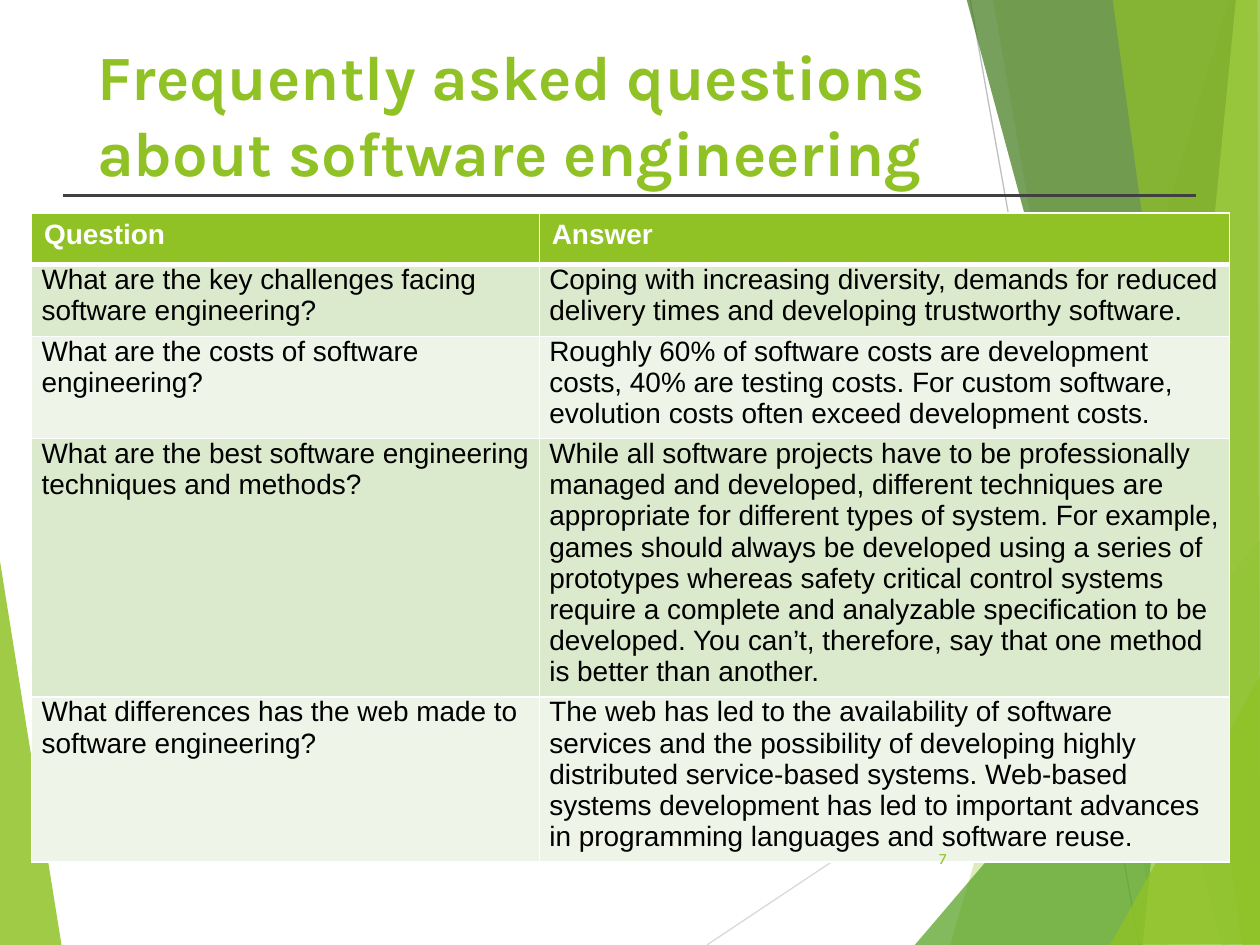
from lxml.etree import SubElement
from pptx import Presentation
from pptx.dml.color import RGBColor
from pptx.enum.shapes import MSO_CONNECTOR
from pptx.enum.text import MSO_ANCHOR, PP_ALIGN
from pptx.oxml import parse_xml
from pptx.oxml.ns import nsdecls, qn
from pptx.util import Inches, Pt

GREEN, WHITE, BLACK = "90C226", "FFFFFF", "000000"
BAND_FILLS = ["DBE9CD", "EEF4E8"]

TITLE = "Frequently asked questions about software engineering"
PAGE_NUMBER = "7"
HEADER = ("Question", "Answer")
FAQS = [
    ("What are the key challenges facing software engineering?",
     "Coping with increasing diversity, demands for reduced delivery times and "
     "developing trustworthy software."),
    ("What are the costs of software engineering?",
     "Roughly 60% of software costs are development costs, 40% are testing costs. "
     "For custom software, evolution costs often exceed development costs."),
    ("What are the best software engineering techniques and methods?",
     "While all software projects have to be professionally managed and developed, "
     "different techniques are appropriate for different types of system. For example, "
     "games should always be developed using a series of prototypes whereas safety "
     "critical control systems require a complete and analyzable specification to be "
     "developed. You can’t, therefore, say that one method is better than another."),
    ("What differences has the web made to software engineering?",
     "The web has led to the availability of software services and the possibility of "
     "developing highly distributed service-based systems. Web-based systems development "
     "has led to important advances in programming languages and software reuse."),
]
COLUMN_WIDTHS = [4.03, 5.48]
ROW_HEIGHTS = [0.41, 0.57, 0.81, 2.05, 1.31]

LEFT_FACET = ([(-0.01, 4.39), (0.49, 7.51), (-0.01, 7.5)], GREEN, 85)
RIGHT_FACETS = [
    ([(9.75, 0), (7.54, 7.5), (10.02, 7.51), (10.01, 0.01)], GREEN, 30),
    ([(7.88, -0.01), (9.19, 7.5), (10.01, 7.5), (10.01, -0.01)], GREEN, 20),
    ([(7.26, 7.5), (10, 4.29), (10.01, 7.5)], "54A021", 72),
    ([(7.67, -0.01), (9.7, 7.5), (10.01, 7.49), (10.01, -0.01)], "3F7819", 70),
    ([(9.81, -0.01), (9.07, 7.5), (10.01, 7.5), (10, -0.01)], "C0E474", 70),
    ([(8.83, -0.01), (9.86, 7.5), (10, 7.5), (9.98, -0.01)], GREEN, 65),
    ([(8.81, 7.5), (10.01, 5.35), (10.01, 7.49)], GREEN, 80),
]
FACET_LINES = [
    ((5.61, 7.5), (10.01, 4.57), "D9D9D9", 0.75),
    ((7.7, 0), (9.04, 7.5), "BFBFBF", 0.75),
]
TITLE_RULE = ((0.5, 1.55), (9.49, 1.55), "404040", 1.5)


def paint(color_format, color):
    color_format.rgb = RGBColor.from_string(color)


def add_facet(slide, points, color, opacity):
    corners = [(Inches(x), Inches(y)) for x, y in points]
    builder = slide.shapes.build_freeform(*corners[0])
    builder.add_line_segments(corners[1:], close=True)
    facet = builder.convert_to_shape()
    facet.shadow.inherit = False
    facet.fill.solid()
    paint(facet.fill.fore_color, color)
    facet.line.fill.background()
    srgb = facet.fill._xPr.find(qn("a:solidFill")).find(qn("a:srgbClr"))
    SubElement(srgb, qn("a:alpha"), val=str(opacity * 1000))


def add_line(slide, start, end, color, width):
    line = slide.shapes.add_connector(
        MSO_CONNECTOR.STRAIGHT, *map(Inches, start + end))
    paint(line.line.color, color)
    line.line.width = Pt(width)
    SubElement(line._element.spPr, qn("a:effectLst"))


def write(frame, text, font, size, color, bold=False):
    run = frame.paragraphs[0].add_run()
    run.text = text
    run.font.name = font
    run.font.size = Pt(size)
    run.font.bold = bold
    paint(run.font.color, color)


def set_borders(cell, bottom_width):
    widths = {"lnL": 1, "lnR": 1, "lnT": 1, "lnB": bottom_width}
    for index, (side, width) in enumerate(widths.items()):
        border = parse_xml(
            f'<a:{side} {nsdecls("a")} w="{Pt(width)}"><a:solidFill>'
            f'<a:srgbClr val="{WHITE}"/></a:solidFill></a:{side}>')
        cell._tc.get_or_add_tcPr().insert(index, border)


def add_faq_table(slide):
    rows = [HEADER] + FAQS
    table = slide.shapes.add_table(
        len(rows), len(HEADER), Inches(0.25), Inches(1.69),
        Inches(sum(COLUMN_WIDTHS)), Inches(sum(ROW_HEIGHTS))).table
    table.horz_banding = False
    for column, width in zip(table.columns, COLUMN_WIDTHS):
        column.width = Inches(width)
    for row, height in zip(table.rows, ROW_HEIGHTS):
        row.height = Inches(height)
    for r, texts in enumerate(rows):
        is_header = r == 0
        for c, text in enumerate(texts):
            cell = table.cell(r, c)
            cell.fill.solid()
            paint(cell.fill.fore_color, GREEN if is_header else BAND_FILLS[(r - 1) % 2])
            set_borders(cell, 3 if is_header else 1)
            if not is_header:
                cell.margin_left = cell.margin_right = Inches(0.08)
                cell.margin_top, cell.margin_bottom = 0, Inches(0.07)
            write(cell.text_frame, text, "Arial", 16,
                  WHITE if is_header else BLACK, bold=is_header)


def add_title(slide):
    title = slide.shapes.title
    title.left, title.top = Inches(0.67), Inches(0.25)
    title.width, title.height = Inches(8), Inches(1.44)
    title.text_frame.word_wrap = True
    title.text_frame.vertical_anchor = MSO_ANCHOR.TOP
    title.text_frame.paragraphs[0].alignment = PP_ALIGN.LEFT
    write(title.text_frame, TITLE, "Karla", 36, GREEN, bold=True)


def add_page_number(slide):
    frame = slide.shapes.add_textbox(
        Inches(7.05), Inches(6.61), Inches(0.56), Inches(0.4)).text_frame
    frame.word_wrap = True
    frame.vertical_anchor = MSO_ANCHOR.MIDDLE
    frame.paragraphs[0].alignment = PP_ALIGN.RIGHT
    write(frame, PAGE_NUMBER, "Karla", 9, GREEN)


def main():
    presentation = Presentation()
    presentation.slide_width, presentation.slide_height = Inches(10), Inches(7.5)
    slide = presentation.slides.add_slide(presentation.slide_layouts[5])
    add_facet(slide, *LEFT_FACET)
    for line in FACET_LINES:
        add_line(slide, *line)
    for facet in RIGHT_FACETS:
        add_facet(slide, *facet)
    add_line(slide, *TITLE_RULE)
    add_title(slide)
    add_faq_table(slide)
    add_page_number(slide)
    presentation.save("out.pptx")


if __name__ == "__main__":
    main()
